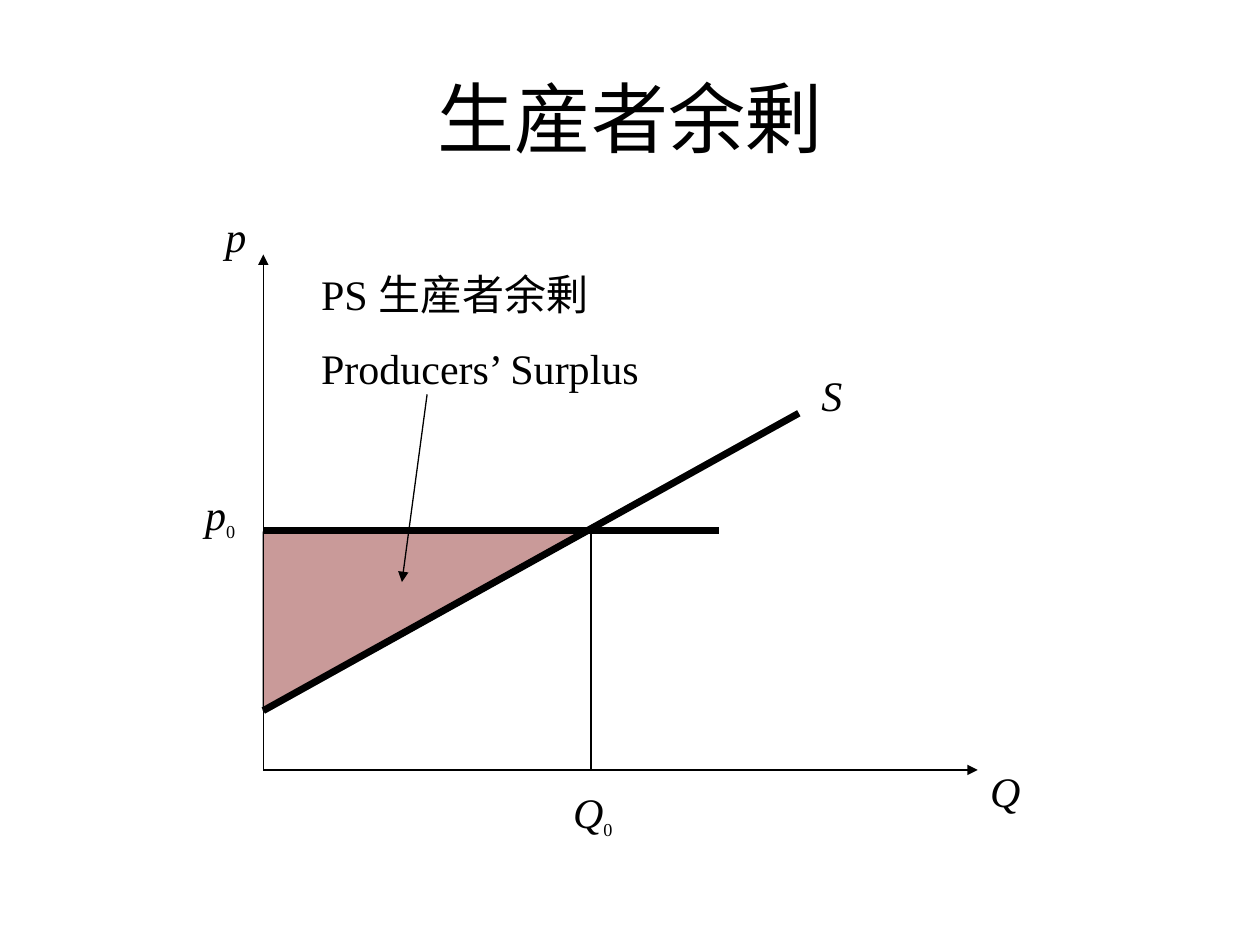
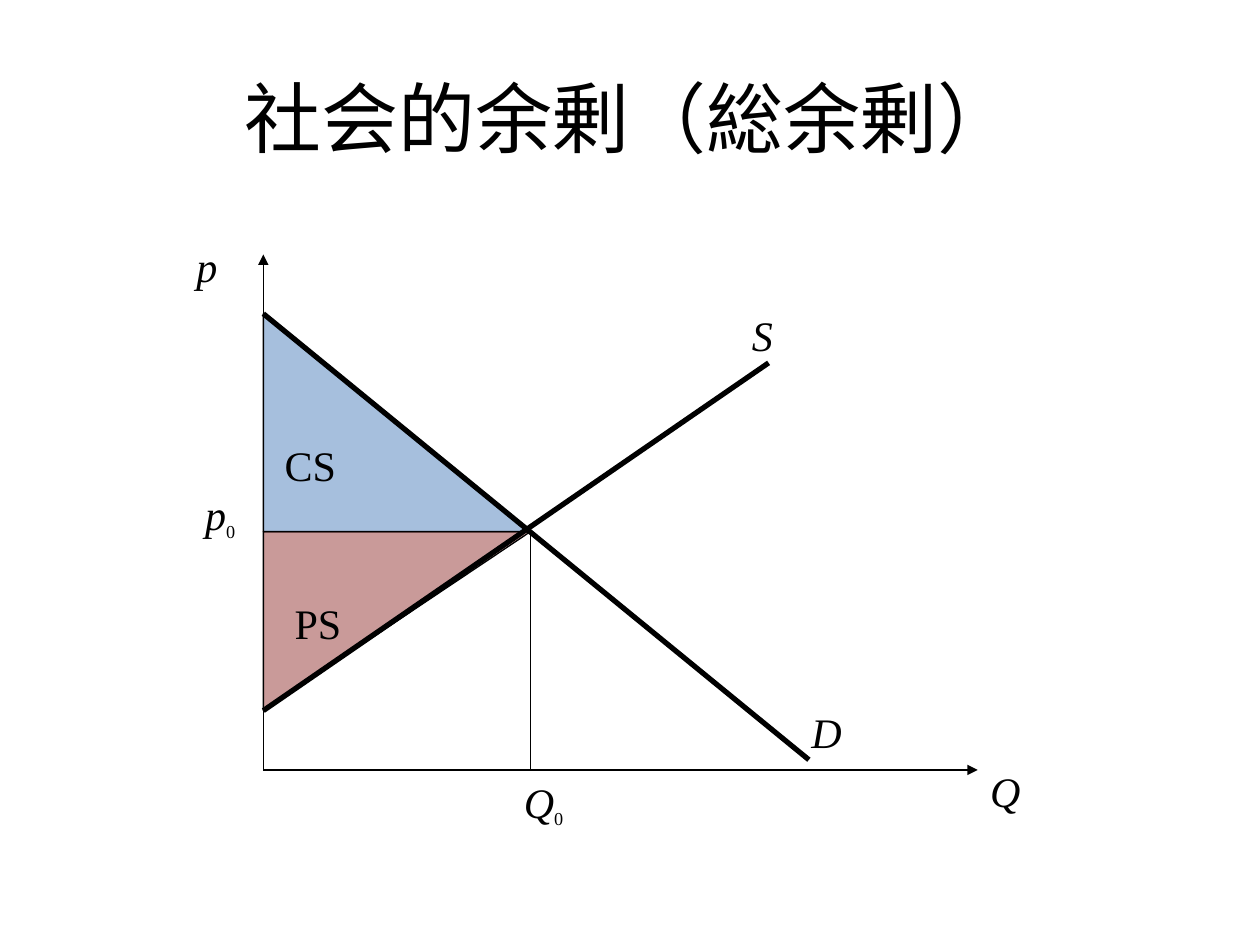
from dataclasses import dataclass

from lxml import etree
from pptx import Presentation
from pptx.dml.color import RGBColor
from pptx.enum.shapes import MSO_CONNECTOR, MSO_SHAPE
from pptx.enum.text import MSO_ANCHOR, MSO_AUTO_SIZE, PP_ALIGN
from pptx.oxml.ns import qn
from pptx.util import Inches, Pt

STRAIGHT = MSO_CONNECTOR.STRAIGHT
WEDGE = MSO_SHAPE.RIGHT_TRIANGLE
MIDDLE = MSO_ANCHOR.MIDDLE
GROW = MSO_AUTO_SIZE.SHAPE_TO_FIT_TEXT
LEFT, CENTER = PP_ALIGN.LEFT, PP_ALIGN.CENTER


@dataclass(frozen=True)
class Theme:
    ink: RGBColor = RGBColor(0x00, 0x00, 0x00)
    blue: RGBColor = RGBColor(0x4F, 0x81, 0xBD)
    red: RGBColor = RGBColor(0x95, 0x37, 0x35)
    alpha: int = 50000
    head: str = "Calibri"
    body: str = "Times New Roman"
    title: float = 44
    label: float = 24
    sub: float = 18
    gap: float = 13.5
    thin: float = 0.75


T = Theme()
PLAIN = {"name": T.body, "size": Pt(T.label), "italic": False}
SLANT = {**PLAIN, "italic": True}
SUB = {**PLAIN, "size": Pt(T.sub)}
HEAD = {"name": T.head, "size": Pt(T.title)}

deck = Presentation()
deck.slide_width, deck.slide_height = Inches(10), Inches(7.5)

# The grid has 100 columns and 100 rows; all places below are in these units.
COL, ROW = deck.slide_width / 100, deck.slide_height / 100
LINE = 6.67  # height of a one-line label

# Places on the axes
ZERO, END = 20.9, 77.6
BASE, TOP = 81.47, 26.93
PRICE, COST, PEAK = 56.27, 75.2, 33.2


def draw(slide, start, stop, width=T.thin, arrow=False):
    """Draw a line between two grid points."""
    (x1, y1), (x2, y2) = start, stop
    line = slide.shapes.add_connector(
        STRAIGHT, int(x1 * COL), int(y1 * ROW), int(x2 * COL), int(y2 * ROW))
    line.line.color.rgb = T.ink
    line.line.width = Pt(width)
    props = line.element.spPr
    if arrow:
        etree.SubElement(props.find(qn("a:ln")), qn("a:tailEnd"), type="triangle")
    etree.SubElement(props, qn("a:effectLst"))


def write(slide, place, rows, style, align=LEFT):
    """Write rows of text; the part after "_" in a row is a subscript."""
    x, y, w, h = place
    box = slide.shapes.add_textbox(
        int(x * COL), int(y * ROW), int(w * COL), int(h * ROW))
    frame = box.text_frame
    frame.word_wrap = True
    if style is HEAD:
        frame.vertical_anchor = MIDDLE
    else:
        frame.auto_size = GROW
    for i, row in enumerate(rows):
        para = frame.add_paragraph() if i else frame.paragraphs[0]
        para.alignment = align
        if i:
            para.space_before = Pt(T.gap)
        for low, part in enumerate(row.split("_")):
            run = para.add_run()
            run.text = part
            for key, value in (SUB if low else style).items():
                setattr(run.font, key, value)
            run.font.color.rgb = T.ink
            if low:
                run.font._element.set("baseline", "-25000")


# Areas: right column, top row, bottom row, colour, flipped
# Curves: start, stop, width
# Labels: column, row, width, text
PAGES = [
    {
        "title": "生産者余剰",
        "cross": 46.9,
        "areas": [(46.9, PRICE, COST, T.red, True)],
        "curves": [((ZERO, COST), (63.4, 43.73), 4),
                   ((ZERO, 56.13), (57.1, 56.13), 4)],
        "arrows": [((33.9, 41.73), (31.9, 61.6))],
        "signs": [(16.9, 21.6, 4.7, "p"), (44.5, 82.53, 6.2, "Q_0"),
                  (64.2, 38.4, 6.3, "S")],
        "notes": [(24.5, 27.73, 31.2, "PS 生産者余剰", "Producers’ Surplus")],
    },
    {
        "title": "社会的余剰（総余剰）",
        "cross": 42.1,
        "areas": [(42.1, PEAK, PRICE, T.blue, False),
                  (42.1, PRICE, COST, T.red, True)],
        "curves": [((ZERO, PEAK), (64.2, 80.4), 3),
                   ((ZERO, COST), (61, 38.4), 3)],
        "arrows": [],
        "signs": [(14.6, 24.8, 4.7, "p"), (40.6, BASE, 6.3, "Q_0"),
                  (63.4, 74.13, 3.9, "D"), (58.7, 32.13, 6.3, "S")],
        "notes": [(21.6, 45.87, 7.9, "CS"), (22.4, 62.53, 7.1, "PS")],
    },
]
SHARED = [(77.6, 80.4, 6.3, "Q"), (15.3, 51.07, 4.7, "p_0")]
AXES = [((ZERO, BASE), (END, BASE)), ((ZERO, BASE), (ZERO, TOP))]

for page in PAGES:
    slide = deck.slides.add_slide(deck.slide_layouts[6])
    write(slide, (5, 4, 90, 16.67), [page["title"]], HEAD, CENTER)

    for right, top, low, color, flip in page["areas"]:
        area = slide.shapes.add_shape(
            WEDGE, int(ZERO * COL), int(top * ROW),
            int((right - ZERO) * COL), int((low - top) * ROW))
        area.shadow.inherit = False
        area.fill.solid()
        area.fill.fore_color.rgb = color
        tint = area.element.spPr.find(".//" + qn("a:srgbClr"))
        etree.SubElement(tint, qn("a:alpha"), val=str(T.alpha))
        area.line.color.rgb = T.ink
        area.line.width = Pt(T.thin)
        if flip:
            area.element.spPr.find(qn("a:xfrm")).set("flipV", "1")

    for start, stop in AXES + page["arrows"]:
        draw(slide, start, stop, arrow=True)
    draw(slide, (page["cross"], PRICE), (page["cross"], BASE))
    for start, stop, width in page["curves"]:
        draw(slide, start, stop, width)

    for labels, style in ((SHARED + page["signs"], SLANT), (page["notes"], PLAIN)):
        for x, y, w, *rows in labels:
            high = LINE if len(rows) == 1 else 14.8
            write(slide, (x, y, w, high), rows, style)

deck.save("out.pptx")
